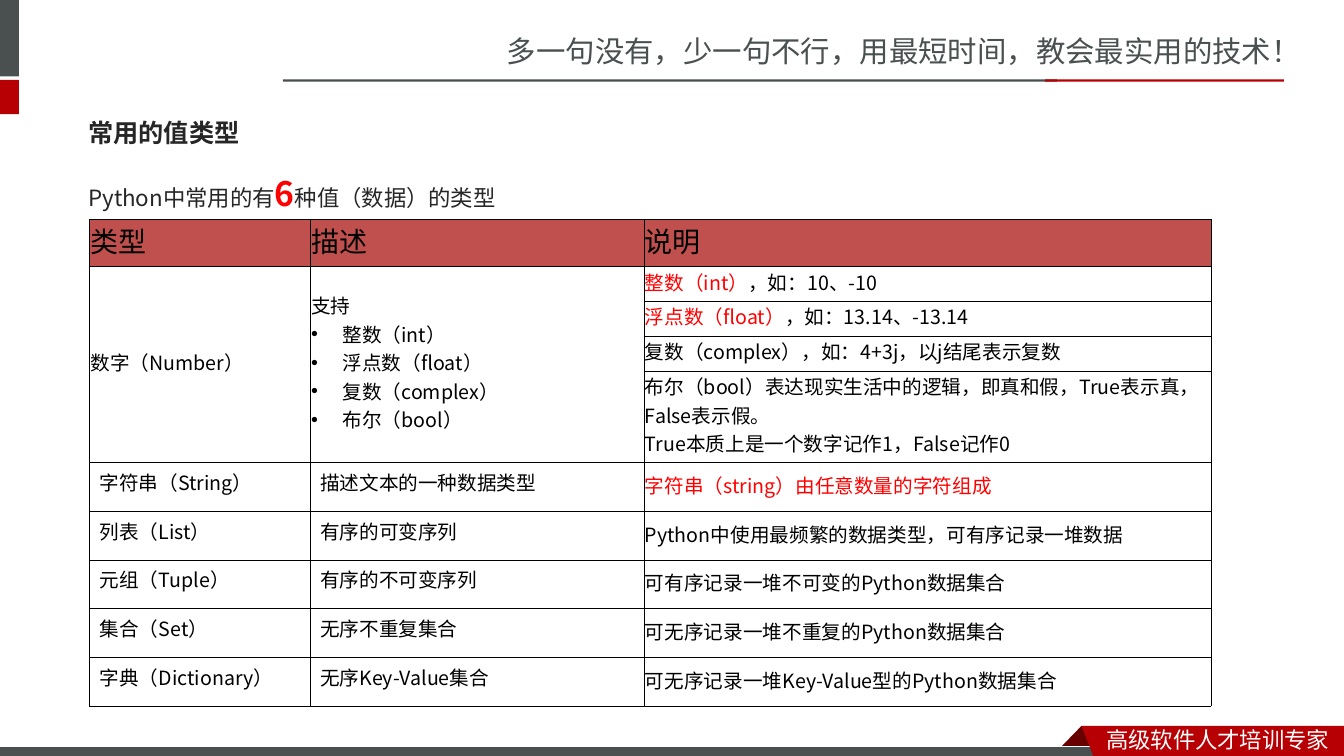
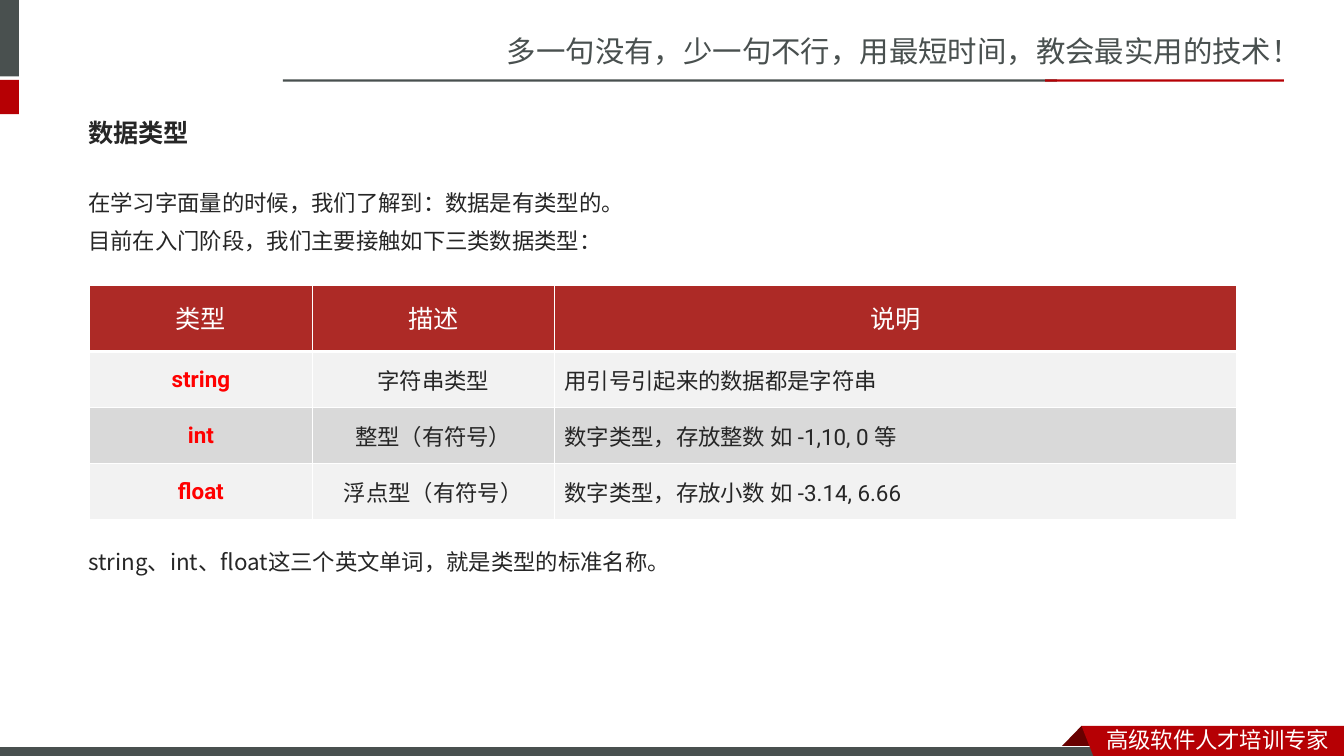
from lxml import etree
from pptx import Presentation
from pptx.dml.color import RGBColor
from pptx.enum import shapes, text
from pptx.oxml.ns import qn
from pptx.util import Pt

GREY = RGBColor(0x49, 0x50, 0x4F)
CRIMSON = RGBColor(0xB6, 0x00, 0x04)
MAROON = RGBColor(0x68, 0x00, 0x00)
BRICK = RGBColor(0xC0, 0x50, 0x4D)
RUST = RGBColor(0xAD, 0x2A, 0x26)
RED = RGBColor(0xFF, 0x00, 0x00)
INK = RGBColor(0x26, 0x26, 0x26)
BLACK = RGBColor(0x00, 0x00, 0x00)
WHITE = RGBColor(0xFF, 0xFF, 0xFF)
PALE = RGBColor(0xF2, 0xF2, 0xF2)
SILVER = RGBColor(0xD9, 0xD9, 0xD9)

CJK = "Noto Sans CJK JP"
BRAND = "Noto Sans CJK SC"
MID = text.MSO_ANCHOR.MIDDLE
MID_CENTRE = text.PP_ALIGN.CENTER

SLOGAN = dict(size=21, color=GREY, name=BRAND)
BADGE = dict(size=16, color=WHITE, name=BRAND)
HEAD = dict(size=18, color=INK, bold=True)
BODY = dict(size=16, color=INK)
BIG = dict(size=24, color=RED, bold=True)
CELL = dict(size=14, color=BLACK)
HOT = dict(color=RED)

TIGHT = (0.72, 0.72, 0.72, 3.6)
LOOSE = (7.2, 3.6, 7.2, 3.6)
LEFT = 64

TYPES = [
    ["类型", "描述", "说明"],
    ["数字（Number）",
     "支持\n•整数（int）\n•浮点数（float）\n•复数（complex）\n•布尔（bool）",
     "*整数（int）*，如：10、-10"],
    ["", "", "*浮点数（float）*，如：13.14、-13.14"],
    ["", "", "复数（complex），如：4+3j，以j结尾表示复数"],
    ["", "", "布尔（bool）表达现实生活中的逻辑，即真和假，True表示真，False表示假。\n"
     "True本质上是一个数字记作1，False记作0"],
    ["字符串（String）", "描述文本的一种数据类型",
     "*字符串（string）由任意数量的字符组成*"],
    ["列表（List）", "有序的可变序列",
     "Python中使用最频繁的数据类型，可有序记录一堆数据"],
    ["元组（Tuple）", "有序的不可变序列", "可有序记录一堆不可变的Python数据集合"],
    ["集合（Set）", "无序不重复集合", "可无序记录一堆不重复的Python数据集合"],
    ["字典（Dictionary）", "无序Key-Value集合",
     "可无序记录一堆Key-Value型的Python数据集合"],
]
BASICS = [
    ["类型", "描述", "说明"],
    ["string", "字符串类型", "用引号引起来的数据都是字符串"],
    ["int", "整型（有符号）", "数字类型，存放整数 如 -1,10, 0 等"],
    ["float", "浮点型（有符号）", "数字类型，存放小数 如 -3.14, 6.66"],
]


def style(run, size, color, name=CJK, bold=False, east=CJK):
    for key, val in dict(size=Pt(size), name=name, bold=bold).items():
        setattr(run.font, key, val)
    run.font.color.rgb = color
    etree.SubElement(run.font._element, qn("a:ea"), typeface=east)


def bullet(para):
    props = para._p.get_or_add_pPr()
    props.set("marL", str(Pt(22.5)))
    props.set("indent", str(Pt(-22.5)))
    etree.SubElement(props, qn("a:buFont"), typeface="Arial")
    etree.SubElement(props, qn("a:buChar"), char="•")


def write(frame, words, look, hot=HOT, align=None, line=None, gap=0):
    """Fill a frame: one paragraph a line, • for bullets, *...* in the hot look."""
    for i, row in enumerate(words.split("\n")):
        para = frame.paragraphs[0] if i == 0 else frame.add_paragraph()
        if row.startswith("•"):
            bullet(para)
            row = row[1:]
        para.alignment = align
        if line:
            para.line_spacing = line
        if i and gap:
            para.space_before = Pt(gap)
        for j, part in enumerate(row.split("*")):
            if part:
                run = para.add_run()
                run.text = part
                style(run, **(look | hot if j % 2 else look))


def label(slide, box, words, look, anchor=text.MSO_ANCHOR.TOP, **more):
    frame = slide.shapes.add_textbox(*map(Pt, box)).text_frame
    frame.word_wrap = True
    frame.vertical_anchor = anchor
    write(frame, words, look, **more)


def paint(shape, color, edge=None):
    shape.shadow.inherit = False
    shape.fill.solid()
    shape.fill.fore_color.rgb = color
    if edge:
        shape.line.color.rgb = edge
        shape.line.width = Pt(0.75)
    else:
        shape.line.fill.background()


def bar(slide, box, color, edge=None):
    kind = shapes.MSO_SHAPE.RECTANGLE
    paint(slide.shapes.add_shape(kind, *map(Pt, box)), color, edge)


def poly(slide, points, color):
    dots = [(Pt(x), Pt(y)) for x, y in points]
    build = slide.shapes.build_freeform(*dots[0], scale=1.0)
    build.add_line_segments(dots[1:], close=True)
    paint(build.convert_to_shape(), color)


def border(cell, color, **wide):
    """Draw the four cell edges; wide maps a side (L, R, T, B) to points."""
    props = cell._tc.get_or_add_tcPr()
    for i, (side, width) in enumerate(wide.items()):
        edge = etree.Element(qn("a:ln" + side), w=str(Pt(width)))
        fill = etree.SubElement(edge, qn("a:solidFill"))
        etree.SubElement(fill, qn("a:srgbClr"), val=str(color))
        props.insert(i, edge)


def grid(slide, top, cols, rows):
    """Add a plain table and return it."""
    frame = slide.shapes.add_table(len(rows), len(cols), Pt(LEFT), Pt(top),
                                   Pt(sum(cols)), Pt(sum(rows)))
    table = frame.table
    table.first_row = table.horz_banding = False
    for col, width in zip(table.columns, cols):
        col.width = Pt(width)
    for row, height in zip(table.rows, rows):
        row.height = Pt(height)
    return table


def fit(cell, pads, anchor, color=None):
    for side, pad in zip(("left", "top", "right", "bottom"), pads):
        setattr(cell, "margin_" + side, Pt(pad))
    cell.vertical_anchor = anchor
    if color:
        cell.fill.solid()
        cell.fill.fore_color.rgb = color
    else:
        cell.fill.background()


def types(slide):
    rows = [33.5] + [25] * 3 + [65.5] + [34.8] * 5
    table = grid(slide, 156.5, [157.5, 238.5, 405], rows)
    for c in (0, 1):
        table.cell(1, c).merge(table.cell(4, c))
    for r, row in enumerate(TYPES):
        for c, words in enumerate(row):
            cell = table.cell(r, c)
            plain = r > 4 and c < 2
            fit(cell, LOOSE if plain else TIGHT,
                text.MSO_ANCHOR.TOP if plain else MID, None if r else BRICK)
            border(cell, BLACK, L=0.5, R=0.5, T=0.5, B=0.5)
            if words:
                write(cell.text_frame, words, CELL if r else CELL | dict(size=20))


def basics(slide):
    table = grid(slide, 204, [159, 173, 487], [47] + [40] * 3)
    for r, row in enumerate(BASICS):
        for c, words in enumerate(row):
            cell = table.cell(r, c)
            fit(cell, LOOSE, MID, (PALE, SILVER)[(r + 1) % 2] if r else RUST)
            border(cell, WHITE, L=1, R=1, T=3 if r == 1 else 1, B=1 if r else 3)
            look = BODY | dict(name="Roboto")
            if r == 0:
                look |= dict(size=18, color=WHITE)
            elif c == 0:
                look |= dict(color=RED, bold=True)
            write(cell.text_frame, words, look,
                  align=MID_CENTRE if r == 0 or c < 2 else None,
                  line=None if r else Pt(24))


def page(deck, title):
    """Add a slide with the shared bands, slogan, badge and its title."""
    slide = deck.slides.add_slide(deck.slide_layouts[6])
    label(slide, (355, 20, 605, 34),
          "多一句没有，少一句不行，用最短时间，教会最实用的技术！", SLOGAN)
    bar(slide, (0, 0, 13.5, 54.5), GREY)
    bar(slide, (0, 57, 13.5, 24.5), CRIMSON)
    bar(slide, (202, 56.75, 553, 1.5), GREY)
    bar(slide, (746.5, 56.75, 170.5, 1.5), CRIMSON)
    poly(slide, [(772.5, 518.5), (788.5, 535), (756.5, 535)], MAROON)
    bar(slide, (-1, 533.5, 792, 9), GREY, WHITE)
    poly(slide, [(772.5, 518.5), (960, 518.5), (960, 540), (781, 540)], CRIMSON)
    label(slide, (783, 515, 177, 27), "高级软件人才培训专家", BADGE)
    label(slide, (56, 74, 842, 41), title, HEAD, MID)
    return slide


def note(slide, top, height, words):
    label(slide, (56, top, 842, height), words, BODY, hot=BIG, line=1.25, gap=3.2)


def main():
    deck = Presentation()
    deck.slide_width, deck.slide_height = Pt(960), Pt(540)

    slide = page(deck, "常用的值类型")
    note(slide, 113, 44, "Python中常用的有*6*种值（数据）的类型")
    types(slide)

    slide = page(deck, "数据类型")
    note(slide, 127, 70, "在学习字面量的时候，我们了解到：数据是有类型的。\n"
         "目前在入门阶段，我们主要接触如下三类数据类型：")
    basics(slide)
    note(slide, 383, 40, "string、int、float这三个英文单词，就是类型的标准名称。")

    deck.save("out.pptx")


if __name__ == "__main__":
    main()
